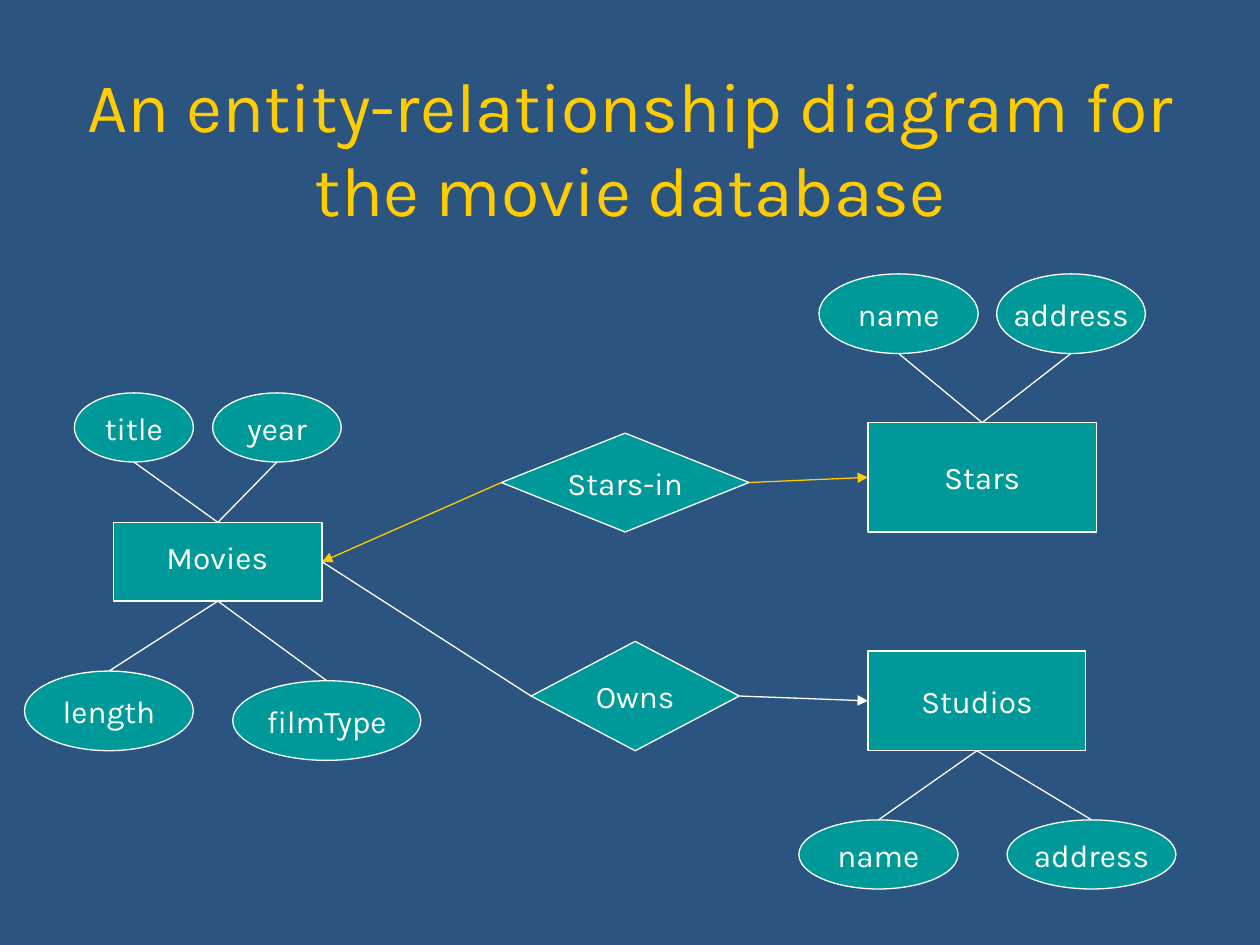
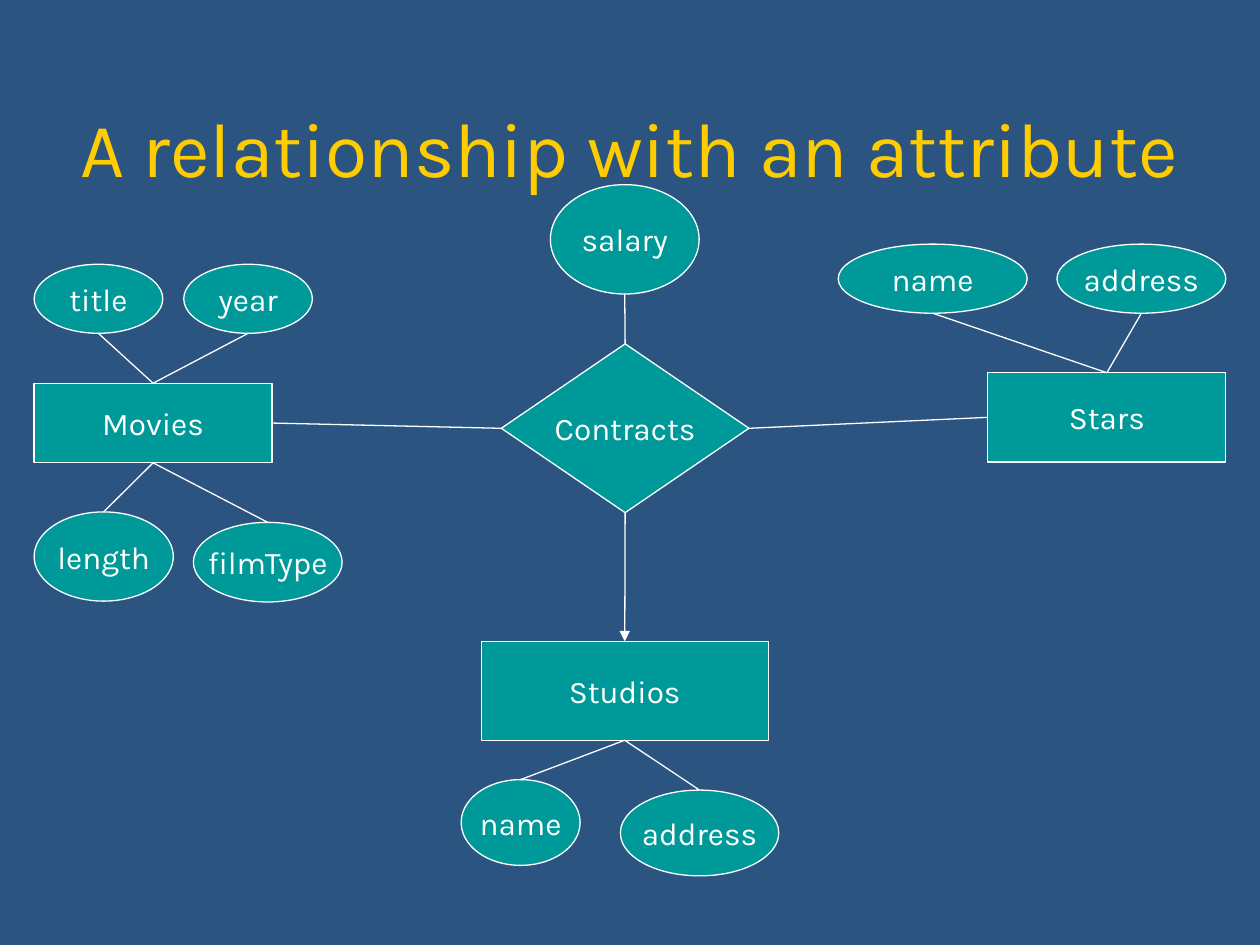
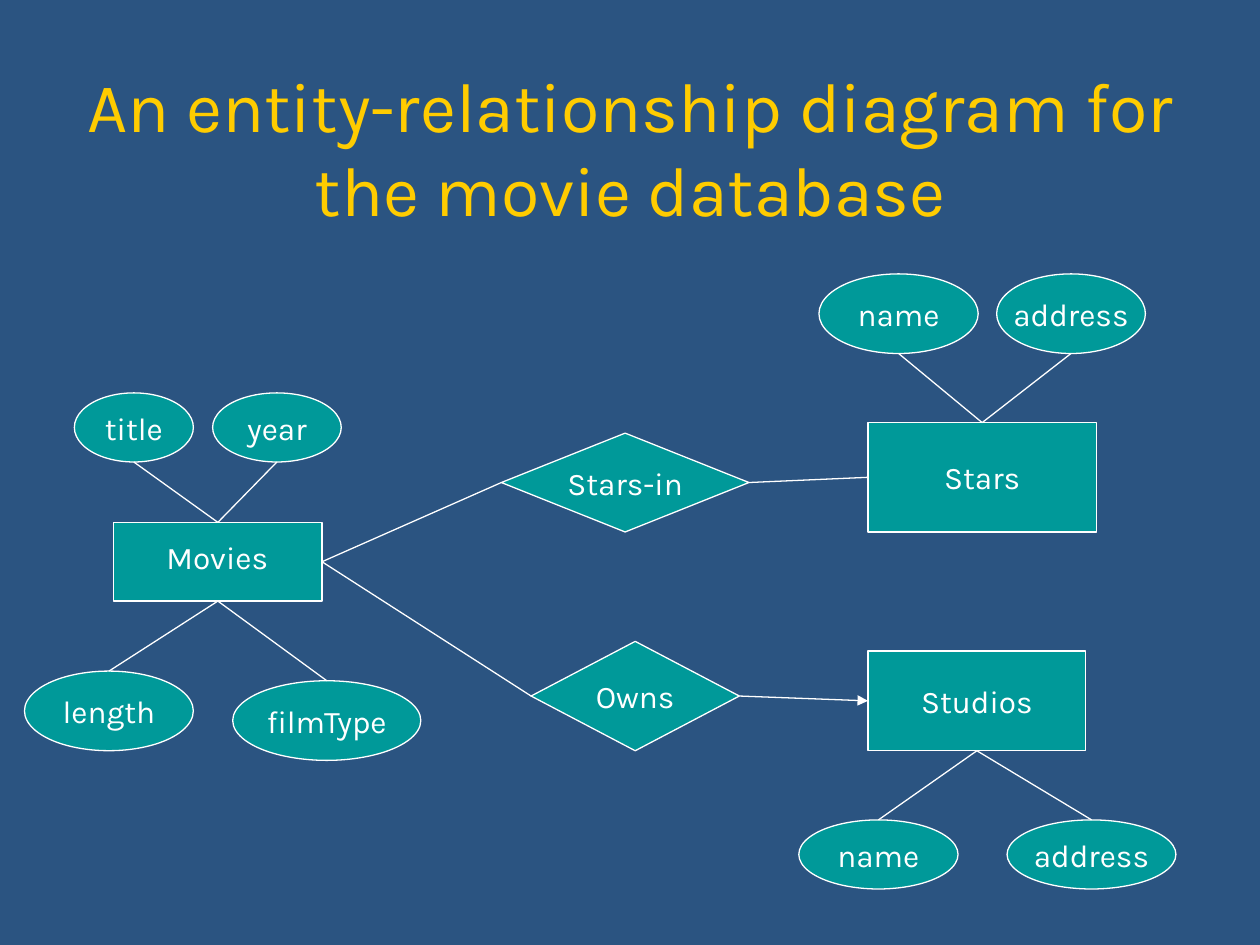
from dataclasses import dataclass
from typing import Any, NamedTuple

from pptx import Presentation
from pptx.dml.color import RGBColor as RGB
from pptx.enum.shapes import MSO_CONNECTOR as Wire, MSO_SHAPE as Form
from pptx.enum.text import MSO_ANCHOR as Anchor, MSO_AUTO_SIZE as Fit, PP_ALIGN as Align
from pptx.oxml.ns import qn
from pptx.oxml.xmlchemy import OxmlElement as Tag
from pptx.util import Pt


# Theme
@dataclass(frozen=True)
class Theme:
    back: RGB = RGB(0x2B, 0x54, 0x81)
    fill: RGB = RGB(0x00, 0x99, 0x99)
    ink: RGB = RGB(0xFF, 0xFF, 0xFF)
    gold: RGB = RGB(0xFF, 0xCC, 0x00)
    font: str = "Karla"
    label: int = 18
    title: int = 40
    large: int = 44
    line: float = 0.75


THEME = Theme()


# Parts of a diagram, measured in points
class Box(NamedTuple):
    left: float
    top: float
    width: float
    height: float

    @property
    def right(self) -> float:
        return self.left + self.width

    @property
    def base(self) -> float:
        return self.top + self.height

    @property
    def mid(self) -> tuple[float, float]:
        return self.left + self.width / 2, self.top + self.height / 2


class Trait(NamedTuple):
    text: str
    box: Box


@dataclass(frozen=True)
class Node:
    text: str
    box: Box
    traits: tuple[Trait, ...] = ()
    form: Form = Form.RECTANGLE
    label: Box | None = None  # separate text box for the name


class Link(NamedTuple):
    start: str
    end: str
    arrow: bool = False
    color: RGB = THEME.ink


class Page(NamedTuple):
    title: str
    size: int
    nodes: tuple[Node, ...]
    links: tuple[Link, ...]


# Drawing
def format_all(item: Any, values: dict[str, Any]) -> None:
    for name, value in values.items():
        setattr(item, name, value)


def write(frame: Any, text: str, size: int, color: RGB, align: Align, **values: Any) -> None:
    format_all(frame, values)
    para = frame.paragraphs[0]
    para.alignment = align
    run = para.add_run()
    run.text = text
    format_all(run.font, {"name": THEME.font, "size": Pt(size), "bold": False})
    run.font.color.rgb = color


def stroke(line: Any, color: RGB) -> None:
    line.color.rgb = color
    line.width = Pt(THEME.line)


def draw_form(slide: Any, form: Form, box: Box, text: str = "") -> None:
    shape = slide.shapes.add_shape(form, *map(Pt, box))
    shape.shadow.inherit = False
    shape.fill.solid()
    shape.fill.fore_color.rgb = THEME.fill
    stroke(shape.line, THEME.ink)
    if text:
        write(shape.text_frame, text, THEME.label, THEME.ink, Align.CENTER,
              word_wrap=False, vertical_anchor=Anchor.MIDDLE)


def draw_node(slide: Any, node: Node) -> None:
    draw_form(slide, node.form, node.box, "" if node.label else node.text)
    if node.label:
        area = slide.shapes.add_textbox(*map(Pt, node.label))
        write(area.text_frame, node.text, THEME.label, THEME.ink, Align.LEFT,
              word_wrap=False, auto_size=Fit.SHAPE_TO_FIT_TEXT)
    for trait in node.traits:
        draw_form(slide, Form.OVAL, trait.box, trait.text)


def find_ends(a: Box, b: Box) -> tuple[float, float, float, float]:
    """Join facing sides: vertically if the boxes overlap in x, else sideways."""
    (ax, ay), (bx, by) = a.mid, b.mid
    if a.left < b.right and b.left < a.right:
        return (ax, a.base, bx, b.top) if ay < by else (ax, a.top, bx, b.base)
    return (a.right, ay, b.left, by) if ax < bx else (a.left, ay, b.right, by)


def draw_link(slide: Any, a: Box, b: Box, color: RGB = THEME.ink, arrow: bool = False) -> None:
    wire = slide.shapes.add_connector(Wire.STRAIGHT, *map(Pt, find_ends(a, b)))
    stroke(wire.line, color)
    props = wire.element.spPr
    if arrow:
        tip = Tag("a:tailEnd")
        tip.set("type", "triangle")
        props.find(qn("a:ln")).append(tip)
    props.append(Tag("a:effectLst"))


def draw_title(slide: Any, text: str, size: int) -> None:
    title = slide.shapes.title
    format_all(title, {"left": Pt(36), "top": Pt(30), "width": Pt(648), "height": Pt(108)})
    write(title.text_frame, text, size, THEME.gold, Align.CENTER,
          word_wrap=True, auto_size=Fit.NONE, vertical_anchor=Anchor.MIDDLE)


def draw_page(deck: Any, page: Page) -> None:
    slide = deck.slides.add_slide(deck.slide_layouts[5])
    draw_title(slide, page.title, page.size)
    for node in page.nodes:
        draw_node(slide, node)
    for node in page.nodes:
        for trait in node.traits:
            draw_link(slide, trait.box, node.box)
    boxes = {node.text: node.box for node in page.nodes}
    for link in page.links:
        draw_link(slide, boxes[link.start], boxes[link.end], link.color, link.arrow)


# Movie database
MOVIE = (
    Node("Movies", Box(65, 298.5, 119, 45), (
        Trait("title", Box(42.5, 224.5, 68, 39.5)),
        Trait("year", Box(121.5, 224.5, 73.5, 39.5)),
        Trait("length", Box(14, 383.5, 96.5, 45.5)),
        Trait("filmType", Box(133, 389, 107.5, 45.5)),
    ), label=Box(88, 304, 73.5, 29)),
    Node("Stars-in", Box(286.5, 247.5, 141.5, 56.5), form=Form.FLOWCHART_DECISION),
    Node("Owns", Box(303.5, 366.5, 119, 62.5), form=Form.FLOWCHART_DECISION),
    Node("Stars", Box(496, 241.5, 130.5, 62.5), (
        Trait("name", Box(468, 156.5, 91, 45.5)),
        Trait("address", Box(569.5, 156.5, 85, 45.5)),
    )),
    Node("Studios", Box(496, 372, 124.5, 57), (
        Trait("name", Box(456.5, 468.5, 91, 39.5)),
        Trait("address", Box(575.5, 468.5, 96.5, 39.5)),
    )),
)

# Contracts between three entities
DEAL = (
    Node("Movies", Box(19.5, 219, 136, 45.5), (
        Trait("title", Box(19.5, 151, 73.5, 39.5)),
        Trait("year", Box(105, 151, 73.5, 39.5)),
        Trait("length", Box(19.5, 292.5, 79.5, 51)),
        Trait("filmType", Box(110.5, 298.5, 85, 45.5)),
    )),
    Node("Stars", Box(564.5, 213, 136, 51), (
        Trait("name", Box(479, 139.5, 108, 39.5)),
        Trait("address", Box(604, 139.5, 96.5, 39.5)),
    )),
    Node("Studios", Box(275, 366.5, 164, 56.5), (
        Trait("name", Box(263.5, 445.5, 68, 49)),
        Trait("address", Box(354.5, 451.5, 90.5, 49)),
    )),
    Node("Contracts", Box(286.5, 196.5, 141.5, 96.5), (
        Trait("salary", Box(314.5, 105.5, 85, 62.5)),
    ), Form.FLOWCHART_DECISION),
)


def movie_page(arrow: bool, color: RGB) -> Page:
    """The movie diagram, with its Stars-in links plain or marked."""
    return Page("An entity-relationship diagram for the movie database", THEME.title, MOVIE, (
        Link("Stars-in", "Movies", arrow, color),
        Link("Stars-in", "Stars", arrow, color),
        Link("Owns", "Movies"),
        Link("Owns", "Studios", True),
    ))


PAGES = (
    movie_page(True, THEME.gold),
    Page("A relationship with an attribute", THEME.large, DEAL, (
        Link("Contracts", "Stars"),
        Link("Contracts", "Movies"),
        Link("Contracts", "Studios", True),
    )),
    movie_page(False, THEME.ink),
)


def main() -> None:
    deck = Presentation()
    format_all(deck, {"slide_width": Pt(720), "slide_height": Pt(540)})
    back = deck.slide_master.background.fill
    back.solid()
    back.fore_color.rgb = THEME.back
    for page in PAGES:
        draw_page(deck, page)
    deck.save("out.pptx")


if __name__ == "__main__":
    main()
